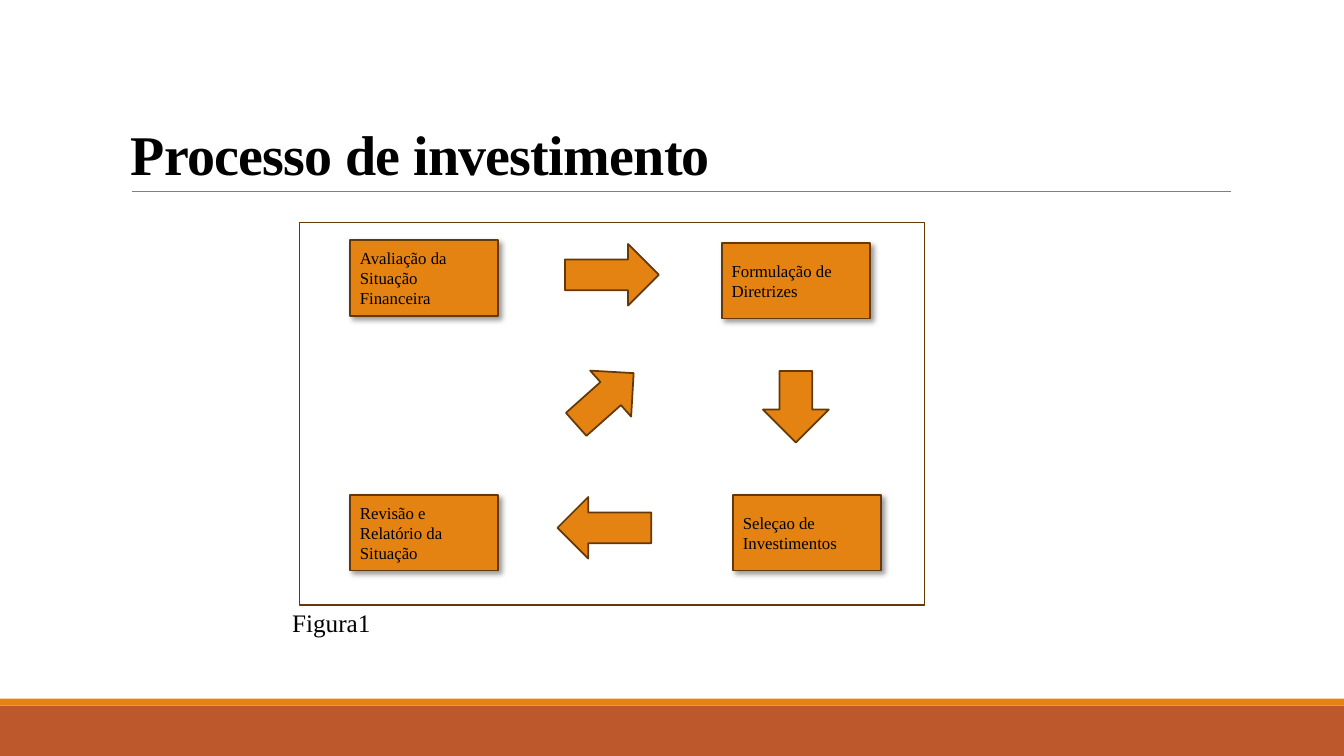
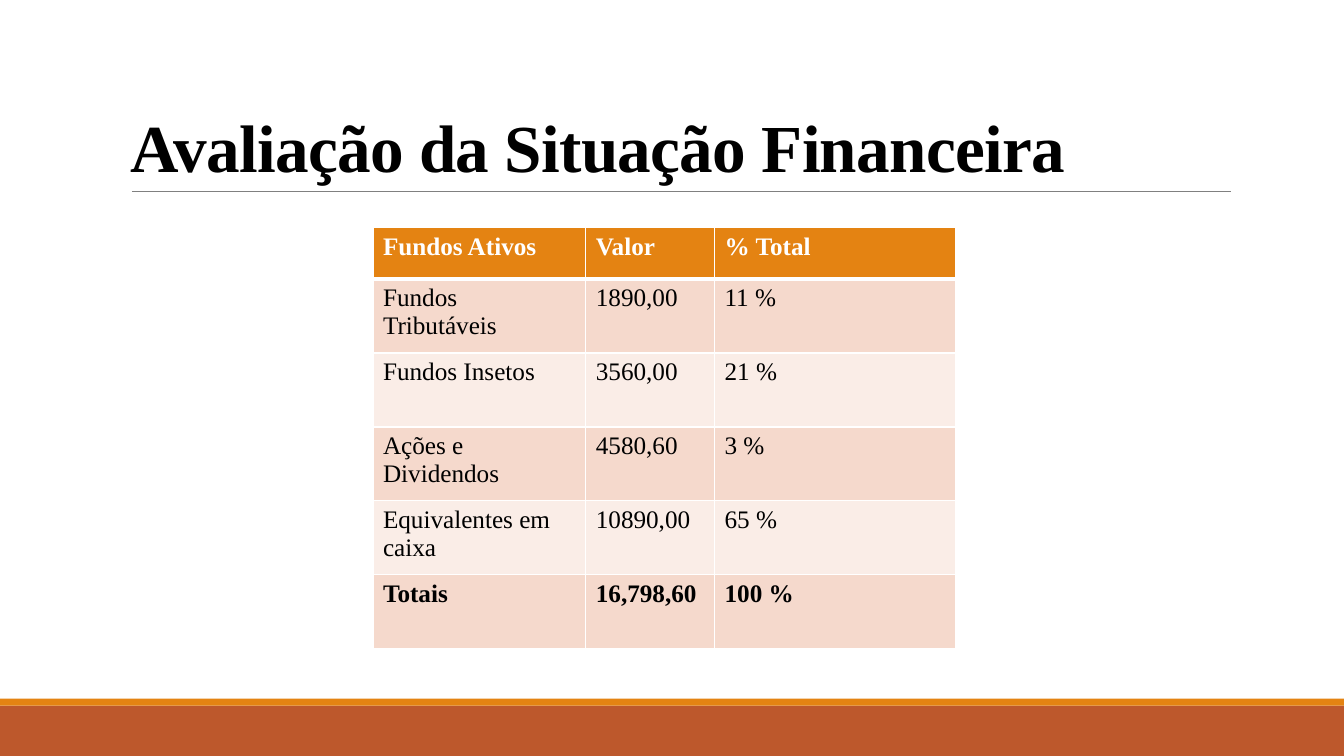
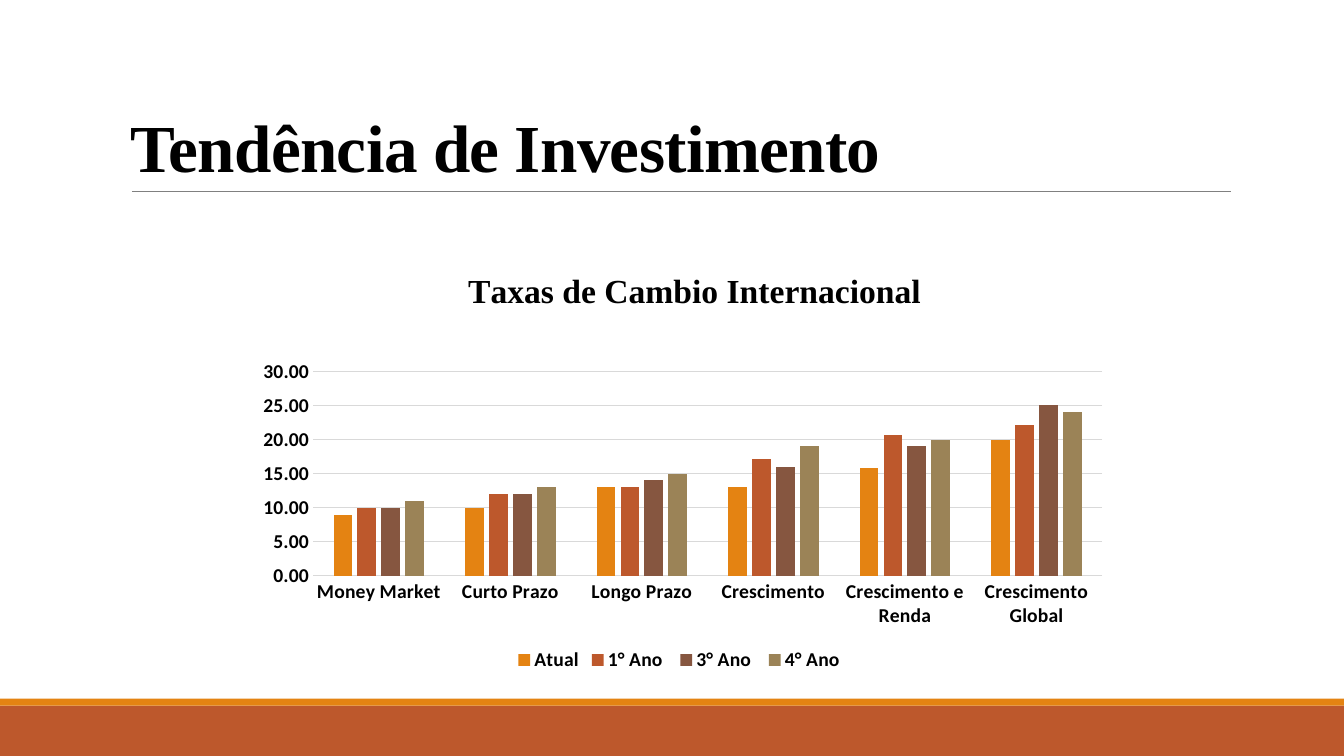
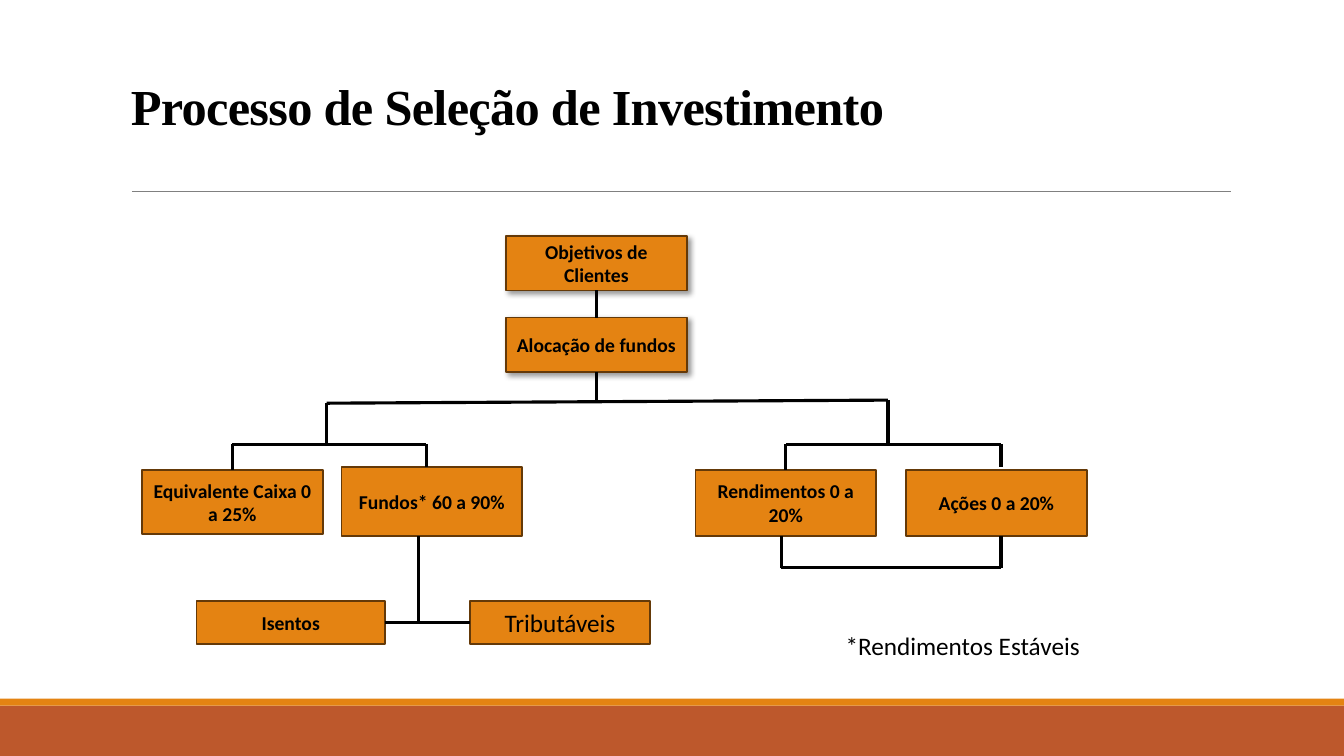
from lxml import etree
from pptx import Presentation
from pptx.chart.data import CategoryChartData
from pptx.dml.color import RGBColor
from pptx.enum.chart import XL_CHART_TYPE, XL_LEGEND_POSITION, XL_TICK_MARK
from pptx.enum.shapes import MSO_CONNECTOR, MSO_SHAPE
from pptx.enum.text import MSO_ANCHOR, PP_ALIGN
from pptx.oxml import parse_xml
from pptx.oxml.ns import nsdecls, qn
from pptx.util import Pt

RECT, ARROW = MSO_SHAPE.RECTANGLE, MSO_SHAPE.RIGHT_ARROW
STRAIGHT = MSO_CONNECTOR.STRAIGHT
LEFT, CENTER = PP_ALIGN.LEFT, PP_ALIGN.CENTER
TOP, MIDDLE, BOTTOM = MSO_ANCHOR.TOP, MSO_ANCHOR.MIDDLE, MSO_ANCHOR.BOTTOM
COLUMNS = XL_CHART_TYPE.COLUMN_CLUSTERED
BELOW = XL_LEGEND_POSITION.BOTTOM
NO_TICK = XL_TICK_MARK.NONE
SITE_TOP, SITE_LEFT, SITE_BOTTOM, SITE_RIGHT = range(4)
SERIF, SANS = "Times New Roman", "Calibri"
COLORS = {
    "rust": "BD582C", "orange": "E48312", "edge": "643908", "rule": "808080",
    "black": "000000", "white": "FFFFFF", "band": "F5D9CC", "pale": "FAEDE7",
    "grid": "D9D9D9", "brown": "865640", "olive": "9B8357",
}


def rgb(name):
    return RGBColor.from_string(COLORS[name])


def style(font, size, face, bold=False, color="black"):
    font.size, font.name, font.bold = Pt(size), face, bold
    font.color.rgb = rgb(color)


def place(owner, index, **sizes):
    """Give a chart part a manual layout, in fractions of the chart."""
    for old in owner.findall(qn("c:layout")):
        owner.remove(old)
    layout = parse_xml(f"<c:layout {nsdecls('c')}><c:manualLayout/></c:layout>")
    modes = {"xMode": "edge", "yMode": "edge"}
    if "w" in sizes:
        modes = {"layoutTarget": "inner", **modes}
    for tag, val in {**modes, **sizes}.items():
        etree.SubElement(layout[0], qn("c:" + tag)).set("val", str(val))
    owner.insert(index, layout)


class Deck:
    def __init__(self):
        self.prs = Presentation()
        self.prs.slide_width, self.prs.slide_height = Pt(960), Pt(540)
        self.slide = None

    def start(self, title, size, box=(86.4, 22.3, 792, 114.5)):
        """Add a slide with its bands, rule and title."""
        self.slide = self.prs.slides.add_slide(self.prs.slide_layouts[6])
        self.shape((0, 504, 960, 36), fill="rust", edge=None)
        self.shape((0, 499, 960, 5), fill="orange", edge=None)
        self.line(94.3, 136.8, 879, 136.8, color="rule", width=0.5)
        frame = self.text(box, title, size, SERIF, bold=True, anchor=BOTTOM)
        para = frame.paragraphs[0]
        para.line_spacing = 0.85
        para.runs[0]._r.get_or_add_rPr().set("spc", "-50")

    def fill_text(self, frame, text, size, face, bold=False, color="black",
                  align=LEFT, anchor=TOP):
        frame.word_wrap = True
        frame.vertical_anchor = anchor
        para = frame.paragraphs[0]
        para.alignment = align
        run = para.add_run()
        run.text = text
        style(run.font, size, face, bold, color)

    def text(self, box, text, size, face, **look):
        frame = self.slide.shapes.add_textbox(*map(Pt, box)).text_frame
        self.fill_text(frame, text, size, face, **look)
        return frame

    def shape(self, box, kind=RECT, fill="orange", edge="edge", turn=0,
              shadow=False):
        shape = self.slide.shapes.add_shape(kind, *map(Pt, box))
        shape.rotation = turn
        shape.shadow.inherit = False
        if fill:
            shape.fill.solid()
            shape.fill.fore_color.rgb = rgb(fill)
        else:
            shape.fill.background()
        if edge:
            shape.line.color.rgb = rgb(edge)
            shape.line.width = Pt(1.25)
        else:
            shape.line.fill.background()
        if shadow:
            effects = shape.element.spPr.find(qn("a:effectLst"))
            effects.append(parse_xml(
                f'<a:outerShdw {nsdecls("a")} blurRad="{Pt(4)}" dist="{Pt(3)}" '
                f'dir="2700000" algn="tl" rotWithShape="0"><a:srgbClr '
                f'val="{COLORS["black"]}"><a:alpha val="40000"/></a:srgbClr>'
                '</a:outerShdw>'))
        return shape

    def box(self, box, text, size=14, face=SANS, bold=True, align=CENTER,
            shadow=False):
        shape = self.shape(box, shadow=shadow)
        self.fill_text(shape.text_frame, text, size, face, bold, align=align,
                       anchor=MIDDLE)
        return shape

    def line(self, x1, y1, x2, y2, color="black", width=2.25, begin=None,
             end=None):
        """Draw a line; begin and end are (shape, site) pairs to join."""
        line = self.slide.shapes.add_connector(
            STRAIGHT, *map(Pt, (x1, y1, x2, y2)))
        line.line.color.rgb = rgb(color)
        line.line.width = Pt(width)
        etree.SubElement(line.element.spPr, qn("a:effectLst"))
        if begin:
            line.begin_connect(*begin)
        if end:
            line.end_connect(*end)

    def table(self, left, top, widths, heights, rows):
        table = self.slide.shapes.add_table(
            len(rows), len(widths), Pt(left), Pt(top), Pt(sum(widths)),
            Pt(sum(heights))).table
        for col, width in zip(table.columns, widths):
            col.width = Pt(width)
        for r, (row, height) in enumerate(zip(rows, heights)):
            table.rows[r].height = Pt(height)
            head = r == 0
            fill = "orange" if head else ("pale", "band")[r % 2]
            bold = r in (0, len(rows) - 1)
            for c, text in enumerate(row):
                cell = table.cell(r, c)
                cell.fill.solid()
                cell.fill.fore_color.rgb = rgb(fill)
                self.fill_text(cell.text_frame, text, 18, SERIF, bold,
                               "white" if head else "black")
                self.borders(cell, 3 if r == 1 else 1, 3 if head else 1)

    def borders(self, cell, top, bottom):
        props = cell._tc.get_or_add_tcPr()
        sides = {"L": 1, "R": 1, "T": top, "B": bottom}
        for i, (side, width) in enumerate(sides.items()):
            props.insert(i, parse_xml(
                f'<a:ln{side} {nsdecls("a")} w="{Pt(width)}"><a:solidFill>'
                f'<a:srgbClr val="{COLORS["white"]}"/></a:solidFill></a:ln{side}>'))

    def chart(self, box, title, cats, series):
        """Add a column chart; series holds (name, colour, values)."""
        data = CategoryChartData(number_format="#,##0.00")
        data.categories = cats
        for name, _, vals in series:
            data.add_series(name, vals)
        chart = self.slide.shapes.add_chart(
            COLUMNS, *map(Pt, box), data).chart
        style(chart.font, 10, SANS)

        chart.has_title = True
        run = chart.chart_title.text_frame.paragraphs[0].add_run()
        run.text = title
        style(run.font, 24, SERIF, True)
        place(chart.chart_title._element, 1, x=0.25, y=0.05)
        area = chart._chartSpace.find(".//" + qn("c:plotArea"))
        place(area, 0, x=0.08, y=0.3, w=0.9, h=0.47)

        chart.has_legend = True
        chart.legend.position = BELOW
        chart.legend.include_in_layout = False
        style(chart.legend.font, 14, SANS, True)

        plot = chart.plots[0]
        plot.vary_by_categories = False
        plot.gap_width, plot.overlap = 219, -27
        for item, (_, color, _) in zip(plot.series, series):
            item.format.fill.solid()
            item.format.fill.fore_color.rgb = rgb(color)

        values, names = chart.value_axis, chart.category_axis
        for axis in (values, names):
            axis.major_tick_mark = axis.minor_tick_mark = NO_TICK
            style(axis.tick_labels.font, 14, SANS, True)
        values.minimum_scale, values.maximum_scale = 0, 30
        values.major_unit = 5
        values.tick_labels.number_format = "#,##0.00"
        values.tick_labels.number_format_is_linked = False
        values.format.line.fill.background()
        for line in (values.major_gridlines.format.line, names.format.line):
            line.color.rgb = rgb("grid")
            line.width = Pt(0.75)


def cycle(deck):
    deck.start("Processo de investimento", 40)
    for x, y, text in (
            (250, 171.5, "Avaliação da Situação Financeira"),
            (515.5, 173.5, "Formulação de Diretrizes"),
            (250, 353.5, "Revisão e Relatório da Situação"),
            (523.5, 353.5, "Seleçao de Investimentos")):
        deck.box((x, y, 106, 54), text, 12, SERIF, False, LEFT, True)
    for *box, turn in (
            (403.6, 174.3, 67, 44, 0), (398.2, 355, 67, 44, 180),
            (543, 267, 51, 47, 90), (404.6, 262.8, 55, 44, 318.3)):
        deck.shape(box, ARROW, turn=turn)
    deck.shape((214, 159, 446.5, 273), fill=None)
    deck.text((201.6, 430, 116, 29), "Figura1", 18, SERIF)


def funds(deck):
    deck.start("Avaliação da Situação Financeira", 48)
    deck.table(266.4, 162.7, (152, 92, 172), (36.7,) + (52.8,) * 5, (
        ("Fundos Ativos", "Valor", "% Total"),
        ("Fundos Tributáveis", "1890,00", "11 %"),
        ("Fundos Insetos", "3560,00", "21 %"),
        ("Ações e Dividendos", "4580,60", "3 %"),
        ("Equivalentes em caixa", "10890,00", "65 %"),
        ("Totais", "16,798,60", "100 %")))


def trend(deck):
    deck.start("Tendência de Investimento", 48)
    deck.chart(
        (173.5, 172, 626.4, 311), "Taxas de Cambio Internacional",
        ("Money Market", "Curto Prazo", "Longo Prazo", "Crescimento",
         "Crescimento e Renda", "Crescimento Global"),
        (("Atual", "orange", (9, 10, 13, 13, 15.8, 20)),
         ("1° Ano ", "rust", (10, 12, 13, 17.1, 20.6, 22.1)),
         ("3° Ano ", "brown", (10, 12, 14, 16, 19.1, 25.1)),
         ("4° Ano ", "olive", (11, 13, 15, 19, 20, 24.1))))


def tree(deck):
    deck.start("Processo de Seleção de Investimento", 36,
               (86.4, 19.4, 753, 81.4))
    wide = 129
    goals = deck.box((361.5, 168.5, wide, 39), "Objetivos de Clientes",
                     shadow=True)
    split = deck.box((361.5, 226.8, wide, 39), "Alocação de fundos",
                     shadow=True)
    cash = deck.box((101.5, 335.5, wide, 46), "Equivalente Caixa 0 a 25%")
    deck.box((244, 333.4, wide, 49.7), "Fundos* 60 a 90%")
    yields = deck.box((496.8, 335.5, wide, 47.5), "Rendimentos 0 a 20%")
    deck.box((647.3, 335.5, wide, 47.5), "Ações 0 a 20%")
    exempt = deck.box((140.4, 429.1, 134.6, 31), "Isentos")
    taxed = deck.box((335.5, 429.1, wide, 31), "Tributáveis", 18, bold=False)
    deck.text((596.9, 447, 289.4, 29), "*Rendimentos Estáveis", 18, SANS)

    deck.line(426, 207.5, 426, 226.8, begin=(goals, SITE_BOTTOM),
              end=(split, SITE_TOP))
    deck.line(426, 265.8, 426, 288, begin=(split, SITE_BOTTOM))
    deck.line(166, 317.5, 166, 335.5, end=(cash, SITE_TOP))
    deck.line(561.3, 317.5, 561.3, 335.5, end=(yields, SITE_TOP))
    deck.line(275, 444.6, 335.5, 444.6, begin=(exempt, SITE_RIGHT),
              end=(taxed, SITE_LEFT))
    for ends in (
            (233.3, 288, 634.3, 285.8),
            (233.3, 288, 233.3, 317.5), (634.3, 285.8, 634.3, 317.5),
            (166, 317.5, 304.6, 317.5), (561.3, 317.5, 715, 317.5),
            (304.6, 317.5, 304.6, 333.4), (715, 317.5, 715, 333.4),
            (298.8, 383.1, 298.8, 444.6),
            (558, 383, 558, 405.4), (715, 383, 715, 405.4),
            (558, 405.4, 715, 405.4)):
        deck.line(*ends)


def main():
    deck = Deck()
    for build in (cycle, funds, trend, tree):
        build(deck)
    deck.prs.save("out.pptx")


if __name__ == "__main__":
    main()
